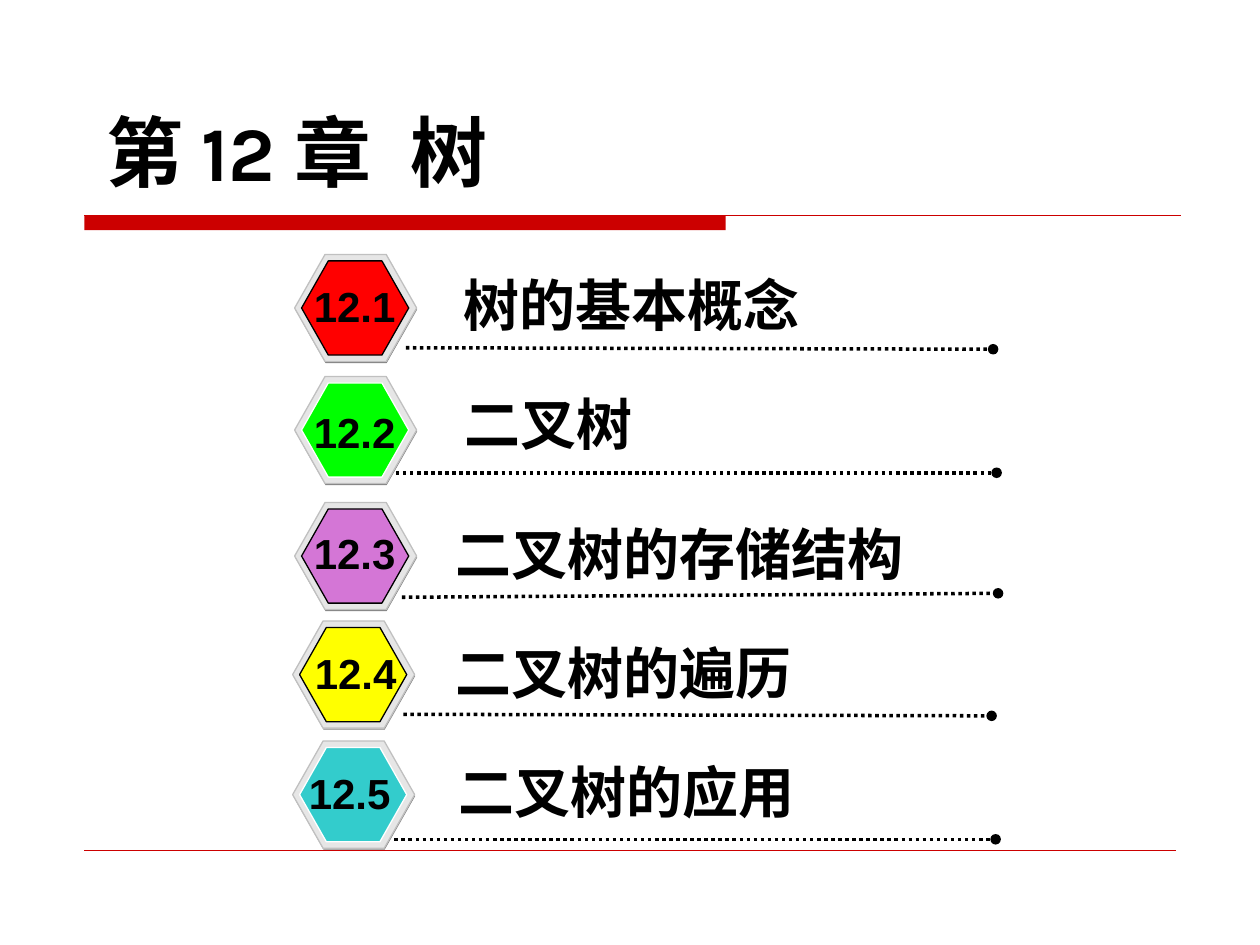
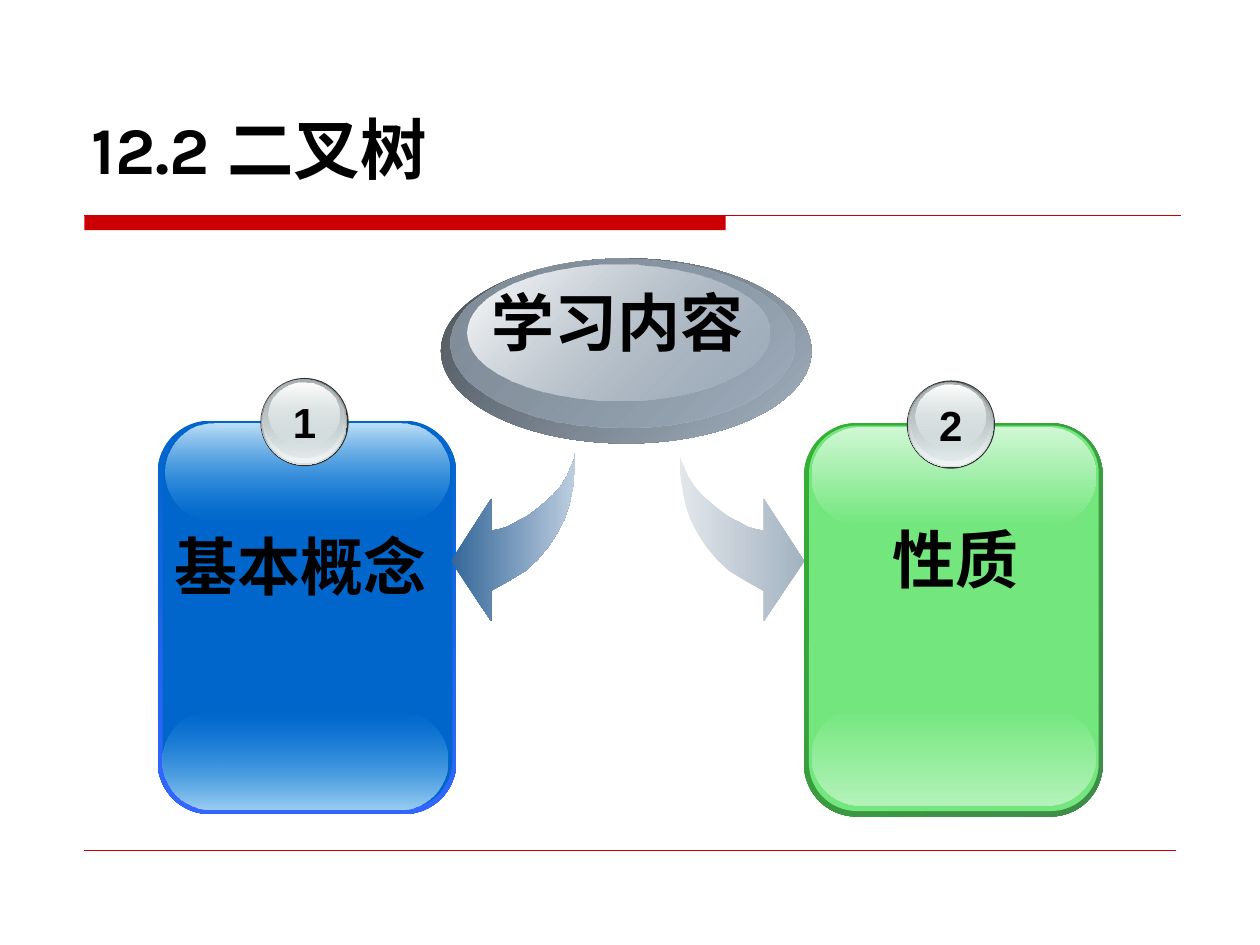
from pptx import Presentation
from pptx.dml.color import RGBColor
from pptx.enum.dml import MSO_LINE
from pptx.enum.shapes import MSO_CONNECTOR, MSO_SHAPE
from pptx.enum.text import MSO_ANCHOR, PP_ALIGN
from pptx.oxml.ns import qn
from pptx.oxml.xmlchemy import OxmlElement
from pptx.util import Cm, Pt

RECT, ROUND = MSO_SHAPE.RECTANGLE, MSO_SHAPE.ROUNDED_RECTANGLE
HEXAGON, OVAL = MSO_SHAPE.HEXAGON, MSO_SHAPE.OVAL
STRAIGHT, DOTTED = MSO_CONNECTOR.STRAIGHT, MSO_LINE.ROUND_DOT
LEFT, CENTER = PP_ALIGN.LEFT, PP_ALIGN.CENTER
TOP, MIDDLE, BOTTOM = MSO_ANCHOR.TOP, MSO_ANCHOR.MIDDLE, MSO_ANCHOR.BOTTOM

RED, BLACK, WHITE = "CC0000", "000000", "FFFFFF"
BODY_FONT, TITLE_DIGITS = "Arial", "Karla"

# Curved arrow pointing left, in cm from its top left corner
ARROW_WIDTH = 2.51
ARROW = [
    (2.51, 0), (2.51, .41), (2.46, .76), (2.39, 1.09), (2.29, 1.4),
    (2.13, 1.7), (1.96, 1.96), (1.75, 2.21), (1.5, 2.44), (1.17, 2.64),
    (.81, 2.84), (.81, 3.45), (0, 2.24), (.81, .99), (.81, 1.63),
    (.97, 1.6), (1.14, 1.55), (1.32, 1.45), (1.52, 1.35), (1.7, 1.22),
    (1.88, 1.07), (2.06, .91), (2.21, .74), (2.34, .53), (2.41, .36),
    (2.49, .18),
]

# Layers: offset x, offset y, width, height, fill
BALL_LAYERS = [
    (0, 0, 1.78, 1.78, "333333"),
    (.02, .02, 1.73, 1.73, ("636869", "D6E1E2", 90)),
    (.04, .03, 1.68, 1.68, (("D6E1E2", 0), "F1F5F5", 90)),
    (.07, .04, 1.6, 1.57, ("AAB2B3", ("D6E1E2", 48), 90)),
    (.17, .09, 1.42, 1.27, (WHITE, ("D6E1E2", 38), 90)),
]
HUB_LAYERS = [
    (0, 0, 7.47, 3.73, ("4B5259", "A3B2C1", 45)),
    (.2, 0, 6.93, 3.4, ("818D99", ("A3B2C1", 48), 45)),
    (.53, .13, 6.1, 2.74, (WHITE, ("A3B2C1", 38), 45)),
]

# Sections: number, title, fill, outline, badge corner, number offset,
# title offset, rule start and end offsets
SECTIONS = [
    ("12.1", "树的基本概念", "FF0000", BLACK, (5.94, 5.13),
     (0, .41), (3.15, .2), (2.24, 1.88, 14.08, 1.91)),
    ("12.2", "二叉树", "00FF00", WHITE, (5.94, 7.59),
     (0, .48), (3.18, .13), (2.04, 1.94, 14.15, 1.94)),
    ("12.3", "二叉树的存储结构", "D476D6", BLACK, (5.94, 10.13),
     (0, .38), (3, .21), (2.16, 1.91, 14.18, 1.83)),
    ("12.4", "二叉树的遍历", "FFFF00", BLACK, (5.9, 12.52),
     (.06, .41), (3.04, .23), (2.23, 1.88, 14.09, 1.91)),
    ("12.5", "二叉树的应用", "33CCCC", WHITE, (5.9, 14.94),
     (-.06, .41), (3.09, .2), (2.05, 1.98, 14.17, 1.98)),
]

# Topic cards
CARDS = [
    dict(number="1", label="基本概念", corner=(3.18, 8.48),
         rim=("0066CC", "3366FF", 90), face="0066CC",
         top=(.15, .05, ("BEE0F7", ("3CA1E6", 0), 90)),
         bottom=(.1, 5.87, (("3CA1E6", 0), "9BCFF2", 90)),
         label_at=(.05, 2.03)),
    dict(number="2", label="性质", corner=(16.21, 8.53),
         rim=("34B034", "3F8B4A", 45), face="73E77E",
         top=(.15, .08, ("D0F7D4", "73E77E", 90)),
         bottom=(.15, 5.74, ("73E77E", "B3F2B9", 90)),
         label_at=(.23, 1.83)),
]


def rgb(value):
    return RGBColor.from_string(value)


def paint(s, fill, line=None):
    """Fill is a colour or (start, end, clockwise angle); a stop may carry opacity."""
    if isinstance(fill, str):
        s.fill.solid()
        s.fill.fore_color.rgb = rgb(fill)
    else:
        *ends, angle = fill
        s.fill.gradient()
        s.fill.gradient_angle = 360 - angle
        for stop, end in zip(s.fill.gradient_stops, ends):
            stop.color.rgb = rgb(end if isinstance(end, str) else end[0])
        for clr, end in zip(s._element.spPr.iter(qn("a:srgbClr")), ends):
            if not isinstance(end, str):
                alpha = OxmlElement("a:alpha")
                alpha.set("val", str(end[1] * 1000))
                clr.append(alpha)
    if line:
        s.line.color.rgb = rgb(line)
        s.line.width = Pt(.75)
    else:
        s.line.fill.background()
    s.shadow.inherit = False


def add_shape(slide, kind, x, y, w, h, fill, line=None, adj=None):
    s = slide.shapes.add_shape(kind, Cm(x), Cm(y), Cm(w), Cm(h))
    if adj is not None:
        s.adjustments[0] = adj
    paint(s, fill, line)
    return s


def add_line(slide, x1, y1, x2, y2, color, width):
    s = slide.shapes.add_connector(STRAIGHT, Cm(x1), Cm(y1), Cm(x2), Cm(y2))
    s.line.color.rgb = rgb(color)
    s.line.width = Pt(width)
    s._element.spPr.append(OxmlElement("a:effectLst"))
    return s


def add_text(slide, x, y, w, h, runs, size, align=LEFT, anchor=TOP, wrap=True):
    """Runs are (text, font) pairs, with an optional letter spacing in points."""
    s = slide.shapes.add_textbox(Cm(x), Cm(y), Cm(w), Cm(h))
    tf = s.text_frame
    tf.word_wrap = wrap
    tf.vertical_anchor = anchor
    p = tf.paragraphs[0]
    p.alignment = align
    for text, font, *spacing in runs:
        r = p.add_run()
        r.text = text
        for name, value in dict(name=font, size=Pt(size), bold=True).items():
            setattr(r.font, name, value)
        r.font.color.rgb = rgb(BLACK)
        if spacing:
            r._r.get_or_add_rPr().set("spc", str(spacing[0] * 100))


def add_layers(slide, x, y, layers):
    for dx, dy, w, h, fill in layers:
        add_shape(slide, OVAL, x + dx, y + dy, w, h, fill)


def new_slide(prs):
    """Blank slide with the title band and the footer line."""
    slide = prs.slides.add_slide(prs.slide_layouts[6])
    add_shape(slide, RECT, 1.7, 4.34, 12.93, .3, RED)
    add_line(slide, 1.7, 4.34, 23.8, 4.34, RED, .75)
    add_line(slide, 1.7, 17.15, 23.7, 17.15, RED, .25)
    return slide


def add_section(slide, number, title, fill, outline, corner, number_at, title_at, rule):
    x, y = corner
    # Dotted rule with a round end
    x1, y1, x2, y2 = rule
    s = add_line(slide, x + x1, y + y1, x + x2, y + y2, BLACK, 2)
    s.line.dash_style = DOTTED
    tail = OxmlElement("a:tailEnd")
    tail.set("type", "oval")
    s.line._get_or_add_ln().append(tail)
    # Hexagon badge: shade, frame, face
    for dx, dy, w, h, color, line in [
        (.01, .03, 2.46, 2.16, "808080", None),
        (0, 0, 2.46, 2.16, "E6E6E6", "C0C0C0"),
        (.14, .13, 2.16, 1.9, fill, outline),
    ]:
        add_shape(slide, HEXAGON, x + dx, y + dy, w, h, color, line, .284)
    # Number and title
    dx, dy = number_at
    add_text(slide, x + .13 + dx, y + dy, 2.16, 1.27, [(number, BODY_FONT)], 24,
             CENTER, wrap=False)
    dx, dy = title_at
    add_text(slide, x + dx, y + dy, 10.8, 1.63, [(title, BODY_FONT)], 32)


def add_card(slide, number, label, corner, rim, face, top, bottom, label_at):
    x, y = corner
    add_shape(slide, ROUND, x, y, 6.02, 7.93, rim, adj=.175)
    add_shape(slide, ROUND, x + .1, y + .05, 5.84, 7.77, face, adj=.165)
    for dx, dy, gloss in (top, bottom):
        add_shape(slide, ROUND, x + dx, y + dy, 5.74, 1.97, gloss, adj=.5)
    # Numbered ball on the top edge
    ball_x, ball_y = x + 2.07, y - .86
    add_layers(slide, ball_x, ball_y, BALL_LAYERS)
    add_text(slide, ball_x, ball_y + .25, 1.78, 1.27, [(number, BODY_FONT)], 24,
             CENTER, wrap=False)
    dx, dy = label_at
    add_text(slide, x + dx, y + dy, 5.66, 1.78, [(label, BODY_FONT)], 36, CENTER)


def add_hub(slide, x, y, label):
    add_layers(slide, x, y, HUB_LAYERS)
    add_text(slide, x + .69, y + .38, 5.72, 1.78, [(label, BODY_FONT)], 36, CENTER)


def add_arrow(slide, x, y, fill, mirrored=False):
    points = [(Cm(x + (ARROW_WIDTH - px if mirrored else px)), Cm(y + py))
              for px, py in ARROW]
    builder = slide.shapes.build_freeform(*points[0])
    builder.add_line_segments(points[1:], close=True)
    paint(builder.convert_to_shape(), fill)


def chapter_slide(prs):
    slide = new_slide(prs)
    add_text(slide, 1.9, 1.55, 21.23, 2.97,
             [("第 ", BODY_FONT), ("12 ", TITLE_DIGITS), ("章", BODY_FONT),
              (" ", BODY_FONT, 12), ("树", BODY_FONT)], 44, anchor=MIDDLE)
    for section in SECTIONS:
        add_section(slide, *section)


def topic_slide(prs):
    slide = new_slide(prs)
    add_text(slide, 1.6, .53, 22.23, 3.38,
             [("12.2 ", TITLE_DIGITS), ("二叉树", BODY_FONT)], 38, anchor=BOTTOM)
    for card in CARDS:
        add_card(slide, **card)
    add_hub(slide, 8.89, 5.21, "学习内容")
    add_arrow(slide, 9.09, 9.07, ("336699", "BECEDF", 0))
    add_arrow(slide, 13.7, 9.07, ("E2E7EB", "A3B2C1", 0), mirrored=True)


def main():
    prs = Presentation()
    prs.slide_width, prs.slide_height = Cm(25.4), Cm(19.05)
    chapter_slide(prs)
    topic_slide(prs)
    prs.save("out.pptx")


if __name__ == "__main__":
    main()
